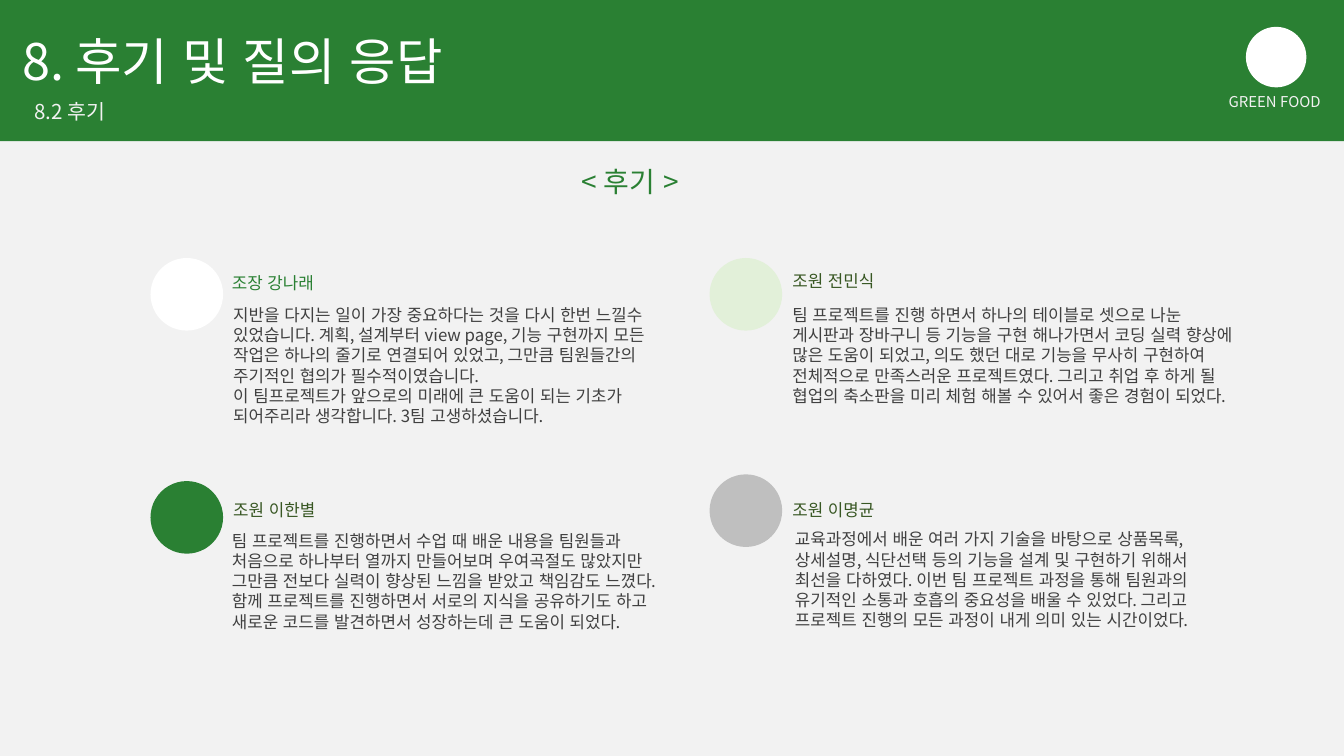
from lxml.etree import SubElement
from pptx import Presentation
from pptx.dml.color import RGBColor
from pptx.enum.lang import MSO_LANGUAGE_ID as Language
from pptx.enum.shapes import MSO_SHAPE as Shape
from pptx.enum.text import MSO_AUTO_SIZE as AutoSize, PP_ALIGN as Align
from pptx.oxml.ns import qn
from pptx.util import Inches, Pt

FONT = "Noto Sans CJK KR"
GREEN, DARK_GREEN, PALE_GREEN = "2A8033", "385723", "E2F0D9"
WHITE, LIGHT, GRAY, TEXT = "FFFFFF", "F2F2F2", "BFBFBF", "404040"
CIRCLE = 0.54
# Default text margins, scaled to three quarters
SIDE_MARGIN = Inches(0.1) * 3 // 4
END_MARGIN = Inches(0.05) * 3 // 4

# Circle position and colour, name position and colour, comment position and height
REVIEWS = [
    ((1.12, 1.92), WHITE, "조장 강나래", (1.65, 1.99), GREEN, (1.66, 2.23), 0.98, [
        "지반을 다지는 일이 가장 중요하다는 것을 다시 한번 느낄수 있었습니다. "
        "계획, 설계부터 view page, 기능 구현까지 모든 작업은 하나의 줄기로 "
        "연결되어 있었고, 그만큼 팀원들간의 주기적인 협의가 필수적이였습니다.",
        "이 팀프로젝트가 앞으로의 미래에 큰 도움이 되는 기초가 되어주리라 "
        "생각합니다. 3팀 고생하셨습니다."]),
    ((5.28, 1.92), PALE_GREEN, "조원 전민식", (5.82, 1.98), DARK_GREEN, (5.82, 2.23), 0.98, [
        "팀 프로젝트를 진행 하면서 하나의 테이블로 셋으로 나눈 게시판과 장바구니 등 "
        "기능을 구현 해나가면서 코딩 실력 향상에 많은 도움이 되었고, 의도 했던 대로 "
        "기능을 무사히 구현하여 전체적으로 만족스러운 프로젝트였다. 그리고 취업 후 "
        "하게 될 협업의 축소판을 미리 체험 해볼 수 있어서 좋은 경험이 되었다."]),
    ((1.12, 3.58), GREEN, "조원 이한별", (1.66, 3.68), DARK_GREEN, (1.65, 3.91), 0.98, [
        "팀 프로젝트를 진행하면서 수업 때 배운 내용을 팀원들과 처음으로 하나부터 "
        "열까지 만들어보며 우여곡절도 많았지만 그만큼 전보다 실력이 향상된 느낌을 "
        "받았고 책임감도 느꼈다. 함께 프로젝트를 진행하면서 서로의 지식을 "
        "공유하기도 하고 새로운 코드를 발견하면서 성장하는데 큰 도움이 되었다."]),
    ((5.28, 3.53), GRAY, "조원 이명균", (5.82, 3.68), DARK_GREEN, (5.84, 3.9), 0.83, [
        "교육과정에서 배운 여러 가지 기술을 바탕으로 상품목록,",
        "상세설명, 식단선택 등의 기능을 설계 및 구현하기 위해서 최선을 다하였다. "
        "이번 팀 프로젝트 과정을 통해 팀원과의 유기적인 소통과 호흡의 중요성을 "
        "배울 수 있었다. 그리고 프로젝트 진행의 모든 과정이 내게 의미 있는 "
        "시간이었다."]),
]


def color(value):
    return RGBColor.from_string(value)


def add_shape(slide, kind, left, top, width, height, fill):
    shape = slide.shapes.add_shape(
        kind, Inches(left), Inches(top), Inches(width), Inches(height))
    shape.shadow.inherit = False
    shape.fill.solid()
    shape.fill.fore_color.rgb = color(fill)
    shape.line.fill.background()


def set_font(paragraph, size, fill):
    font = paragraph.font
    font.size = Pt(size)
    font.name = FONT
    font.language_id = Language.KOREAN
    font.color.rgb = color(fill)
    # Hangul takes the East Asian typeface
    properties = paragraph._p.pPr.find(qn("a:defRPr"))
    SubElement(properties, qn("a:ea"), typeface=FONT)


def add_text(slide, lines, left, top, width, height, size, fill, align=Align.LEFT):
    box = slide.shapes.add_textbox(
        Inches(left), Inches(top), Inches(width), Inches(height))
    frame = box.text_frame
    frame.word_wrap = True
    frame.auto_size = AutoSize.SHAPE_TO_FIT_TEXT
    frame.margin_left = frame.margin_right = SIDE_MARGIN
    frame.margin_top = frame.margin_bottom = END_MARGIN
    frame.text = "\n".join(lines)
    for paragraph in frame.paragraphs:
        paragraph.alignment = align
        set_font(paragraph, size, fill)


def add_header(slide):
    add_shape(slide, Shape.RECTANGLE, 0, 0, 10, 1.05, GREEN)
    add_text(slide, ["8. 후기 및 질의 응답"], 0.09, 0.19, 4.52, 0.53, 27, WHITE)
    add_text(slide, ["8.2 후기"], 0.18, 0.7, 3.93, 0.26, 11, LIGHT)
    # Plain emblem with its caption
    add_shape(slide, Shape.OVAL, 9.27, 0.2, 0.45, 0.45, WHITE)
    add_text(slide, ["GREEN FOOD"], 8.28, 0.65, 2.41, 0.21, 8, LIGHT, Align.CENTER)


def add_review(slide, circle, circle_fill, name, name_at, name_fill,
               comment_at, comment_height, comment):
    add_shape(slide, Shape.OVAL, *circle, CIRCLE, CIRCLE, circle_fill)
    add_text(slide, [name], *name_at, 2.66, 0.23, 9, name_fill)
    add_text(slide, comment, *comment_at, 3.43, comment_height, 9, TEXT)


def main():
    presentation = Presentation()
    # Widescreen, 16 to 9
    presentation.slide_width = Inches(10)
    presentation.slide_height = Inches(10) * 9 // 16
    slide = presentation.slides.add_slide(presentation.slide_layouts[6])
    slide.background.fill.solid()
    slide.background.fill.fore_color.rgb = color(LIGHT)

    add_header(slide)
    add_text(slide, ["< 후기 >"], 3.36, 1.19, 2.66, 0.33, 15, GREEN, Align.CENTER)
    for review in REVIEWS:
        add_review(slide, *review)

    presentation.save("out.pptx")


if __name__ == "__main__":
    main()
